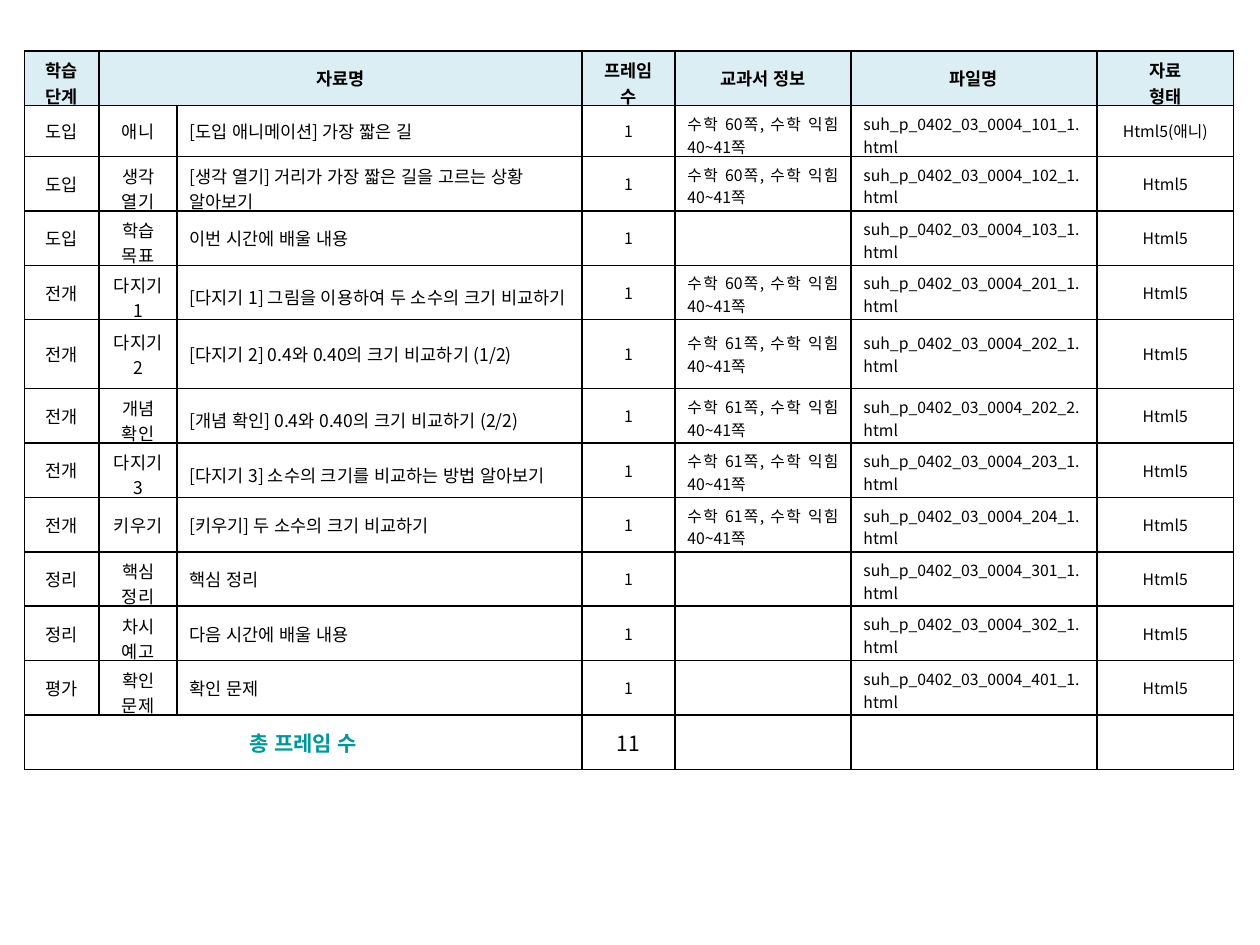
from lxml import etree
from pptx import Presentation
from pptx.dml.color import RGBColor
from pptx.enum.lang import MSO_LANGUAGE_ID
from pptx.enum.text import MSO_ANCHOR, PP_ALIGN
from pptx.oxml.ns import qn
from pptx.util import Pt

LEFT, MID, JUST = PP_ALIGN.LEFT, PP_ALIGN.CENTER, PP_ALIGN.JUSTIFY
CENTRE = MSO_ANCHOR.MIDDLE
KOREAN = MSO_LANGUAGE_ID.KOREAN

FACE = "Noto Sans CJK KR"
BLACK, TEAL, PALE = "000000", "009999", "DBEEF4"
COLS = [42.6, 44.6, 231.4, 53.1, 100.6, 140.6, 78]
ROOM = [3, 3, 27, 3, 15, 15, 15]  # characters that fit on one line
ROWS = [31.1, 29.1] + [31.1] * 3 + [39.4] + [31.1] * 7
BOX = (14, 29.2, 691, 411)
INSET, LEADING = 3.6, 1.46

HEAD = ["학습 단계", "자료명", "", "프레임 수", "교과서 정보", "파일명", "자료\n형태"]
# Stage, part, title, textbook page, file number
ITEMS = [
    ("도입", "애니", "[도입 애니메이션] 가장 짧은 길", 60, "101_1"),
    ("도입", "생각 열기", "[생각 열기] 거리가 가장 짧은 길을 고르는 상황 알아보기", 60, "102_1"),
    ("도입", "학습 목표", "이번 시간에 배울 내용", None, "103_1"),
    ("전개", "다지기 1", "[다지기 1] 그림을 이용하여 두 소수의 크기 비교하기", 60, "201_1"),
    ("전개", "다지기 2", "[다지기 2] 0.4와 0.40의 크기 비교하기 (1/2)", 61, "202_1"),
    ("전개", "개념 확인", "[개념 확인] 0.4와 0.40의 크기 비교하기 (2/2)", 61, "202_2"),
    ("전개", "다지기 3", "[다지기 3] 소수의 크기를 비교하는 방법 알아보기", 61, "203_1"),
    ("전개", "키우기", "[키우기] 두 소수의 크기 비교하기", 61, "204_1"),
    ("정리", "핵심 정리", "핵심 정리", None, "301_1"),
    ("정리", "차시 예고", "다음 시간에 배울 내용", None, "302_1"),
    ("평가", "확인 문제", "확인 문제", None, "401_1"),
]
TOTAL = ["총 프레임 수", "", "", str(len(ITEMS)), "", "", ""]

HEAD_LOOK = {"size": 10, "bold": True, "fill": PALE}
BODY_LOOKS = [
    {"size": 10}, {"size": 10}, {"size": 10, "align": LEFT},
    {"size": 9}, {"size": 9, "align": JUST}, {"size": 9, "align": JUST}, {"size": 9},
]
TOTAL_LOOKS = [{"size": 12, "bold": True, "color": TEAL}] + [{"size": 12}] * 6


def rgb(code):
    return RGBColor.from_string(code)


def fields(item):
    """Expand an item into the texts of its seven cells."""
    stage, part, title, page, code = item
    pages = f"수학 {page}쪽, 수학 익힘 40~41쪽" if page else ""
    kind = "Html5(애니)" if part == "애니" else "Html5"
    return [stage, part, title, "1", pages, f"suh_p_0402_03_0004_{code}.html", kind]


def frame(cell):
    """Draw a thin black line on all four sides of a cell."""
    props = cell._tc.get_or_add_tcPr()
    for side in ("lnL", "lnR", "lnT", "lnB"):
        line = etree.SubElement(props, qn(f"a:{side}"), w=str(Pt(1)))
        paint = etree.SubElement(line, qn("a:solidFill"))
        etree.SubElement(paint, qn("a:srgbClr"), val=BLACK)


def style(run, size, bold, color):
    values = {"size": Pt(size), "bold": bold, "name": FACE, "language_id": KOREAN}
    run.font.color.rgb = rgb(color)
    for name, value in values.items():
        setattr(run.font, name, value)
    etree.SubElement(run._r.get_or_add_rPr(), qn("a:ea"), typeface=FACE)


def write(cell, text, size, bold=False, color=BLACK, align=MID, fill=None):
    frame(cell)
    if fill:
        cell.fill.solid()
        cell.fill.fore_color.rgb = rgb(fill)
    else:
        cell.fill.background()
    cell.vertical_anchor = CENTRE
    cell.text = text
    for para in cell.text_frame.paragraphs:
        para.alignment = align
        for run in para.runs:
            style(run, size, bold, color)
        if not para.runs:  # keeps an empty cell from stretching its row
            para._p.get_or_add_endParaRPr().set("sz", str(size * 100))


def fit(cell, text, size, room, height):
    """Let a two-line text run into the bottom inset, so its row keeps its height."""
    if "\n" in text or len(text) > room:
        spare = height - INSET - 2 * size * LEADING
        cell.margin_bottom = Pt(min(INSET, spare))


def add_plan(slide, box):
    """Place the lesson table in a (left, top, width, height) box."""
    lines = [(HEAD, [HEAD_LOOK] * len(COLS))]
    lines += [(fields(item), BODY_LOOKS) for item in ITEMS]
    lines.append((TOTAL, TOTAL_LOOKS))

    shape = slide.shapes.add_table(len(ROWS), len(COLS), *map(Pt, box))
    table = shape.table
    table.first_row = table.horz_banding = False
    for col, width in zip(table.columns, COLS):
        col.width = Pt(width)
    for row, height, (texts, looks) in zip(table.rows, ROWS, lines):
        row.height = Pt(height)
        for cell, text, look, room in zip(row.cells, texts, looks, ROOM):
            write(cell, text, **look)
            if texts is not TOTAL:
                fit(cell, text, look["size"], room, height)
    last = len(ROWS) - 1
    table.cell(0, 1).merge(table.cell(0, 2))
    table.cell(last, 0).merge(table.cell(last, 2))


def main():
    deck = Presentation()
    deck.slide_width, deck.slide_height = Pt(720), Pt(540)
    slide = deck.slides.add_slide(deck.slide_layouts[6])
    add_plan(slide, BOX)
    deck.save("out.pptx")


if __name__ == "__main__":
    main()
